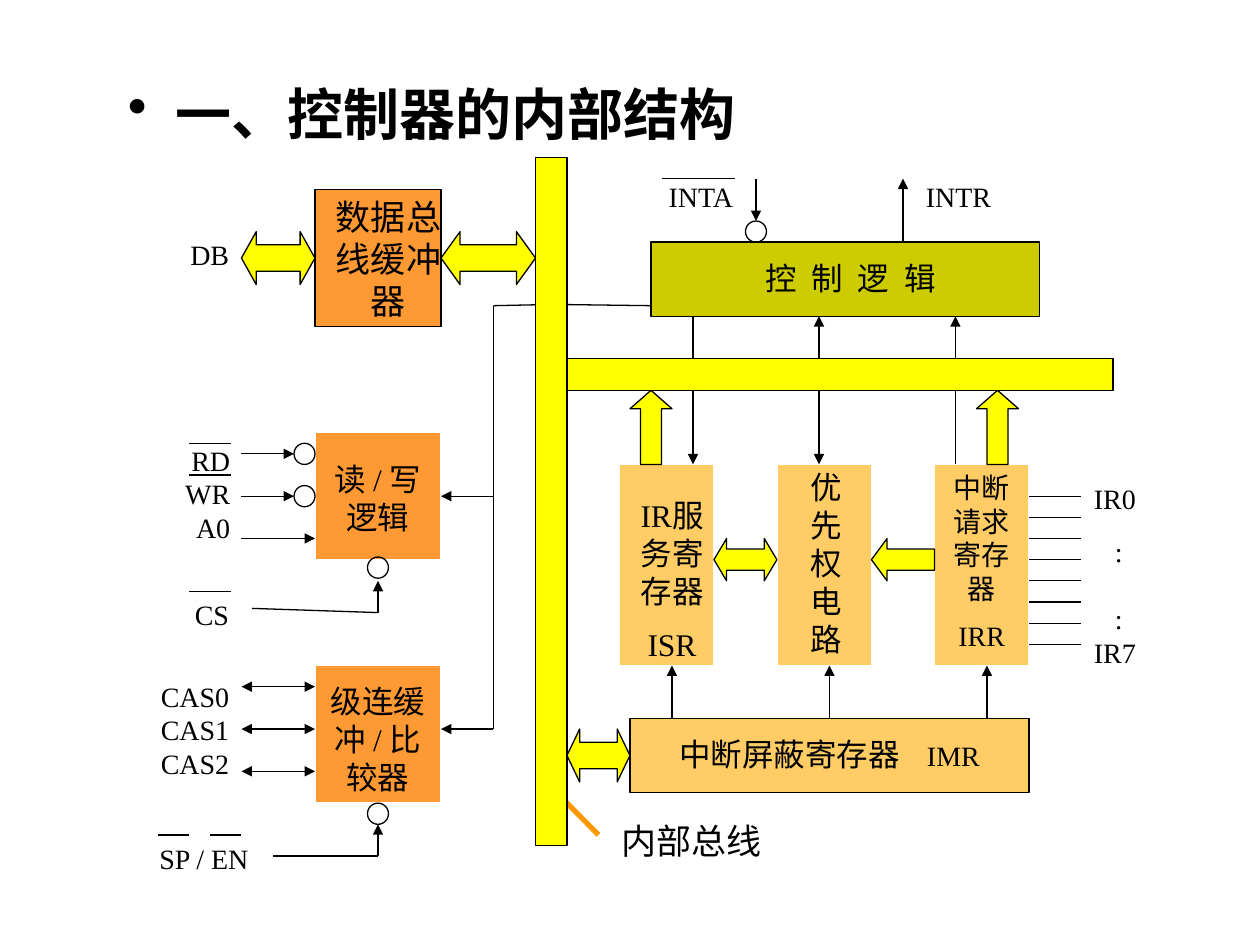
import pptx
import pptx.util
import pptx.dml.color
import pptx.enum.shapes
import pptx.enum.text
import pptx.oxml.ns
from lxml import etree

Geometry = pptx.enum.shapes.MSO_SHAPE
Align = pptx.enum.text.PP_ALIGN
LEFT, CENTER, RIGHT = Align.LEFT, Align.CENTER, Align.RIGHT

THEME = {
    "ink": "000000", "paper": "FFFFFF", "bus": "FFFF00", "register": "FFCC66",
    "buffer": "FF9933", "control": "CCCC00", "pointer": "FF9900",
    "latin": "Times New Roman", "cjk": "Noto Sans CJK SC",
    "heading": 32, "large": 20, "medium": 18, "small": 16,
    "hairline": 0.75, "thick": 3,
}
COLUMN, ROW, TOP = 1 / 12, 0.084, 1.25

TITLE = "一、控制器的内部结构"
TITLE_CELL = (11, -8, 102, 7.7)

BLOCKS = [
    ((62, 8, 37, 7), "control", "ink"),
    *[((column, 29, 9, 19), "register", "paper") for column in (59, 74, 89)],
    ((60, 53, 38, 7), "register", "ink"),
    ((30, 3, 12, 13), "buffer", "ink"),
    ((30, 26, 12, 12), "buffer", "paper"),
    ((30, 48, 12, 13), "buffer", "paper"),
]
BUSES = [(51, 19, 55, 3), (51, 0, 3, 65)]
FLOWS = [
    (Geometry.LEFT_RIGHT_ARROW, (68, 36, 6, 4), 0.3),
    (Geometry.LEFT_ARROW, (83, 36, 6, 4), 0.37),
    (Geometry.UP_ARROW, (60, 22, 4, 7), 0.44),
    (Geometry.UP_ARROW, (93, 22, 4, 7), 0.44),
    (Geometry.LEFT_RIGHT_ARROW, (54, 54, 6, 5), 0.24),
    (Geometry.LEFT_RIGHT_ARROW, (42, 7, 9, 5), 0.36),
    (Geometry.LEFT_RIGHT_ARROW, (23, 7, 7, 5), 0.28),
]
INVERTERS = [(71, 6), (28, 27), (28, 31), (35, 61), (35, 37.75)]

PLAIN_WIRES = [
    *[(98, row, 103, row) for row in range(32, 47, 2)],
    (91, 29, 91, 22), (66, 15, 66, 19),
    (62, 14, 54, 13.9), (52, 13.9, 47, 14), (47, 14, 47, 54),
    (36, 43, 24, 42.6), (36, 66, 26, 66),
]
OVERBARS = [
    (63, 2, 70, 2), (15, 64, 18, 64), (20, 64, 23, 64),
    *[(18, row, 22, row) for row in (27, 30, 41)],
]
SIGNALS = [
    (78, 19, 78, 15), (78, 22, 78, 29), (91, 19, 91, 15), (66, 22, 66, 29),
    (72, 2, 72, 6), (86, 8, 86, 2),
    *[(column, 53, column, 48) for column in (64, 79, 94)],
    (47, 54, 42, 54), (47, 32, 42, 32),
    (36, 43, 36, 40), (36, 66, 36, 63),
    (23, 28, 28, 28), (23, 32, 28, 32), (23, 36, 30, 36),
]
CASCADE_LINES = [(23, row, 30, row) for row in (50, 54, 58)]
BUS_POINTER = (57, 64, 53, 60)

BREAK = "\n"
LABELS = [
    ((103, 30, 8, 4.4), LEFT, "small", [["IR0"]]),
    ((103, 44.6, 8, 4.4), LEFT, "small", [["IR7"]]),
    ((105, 35, 3, 7.6), LEFT, "small", [[":", BREAK, ":"]]),
    ((89, 29, 9, 18.7), CENTER, "small", [["中断请求寄存器"], ["IRR"]]),
    ((76, 28.8, 5, 19), LEFT, "medium", [["优先权电路"]]),
    ((59, 31.4, 10, 17.3), CENTER, "medium", [["IR服务寄存器"], ["ISR"]]),
    ((60, 54, 38, 4.8), CENTER, "medium",
     [["中断屏蔽寄存器", (" ", "small", 12), ("IMR", "small", 0)]]),
    ((66, 9, 30, 4.8), CENTER, "medium", [[("控 制 逻 辑", "medium", 2.25)]]),
    ((30, 3, 14, 13.1), CENTER, "large", [["数据总线缓冲器"]]),
    ((30, 28, 12, 8.3), CENTER, "medium", [["读 / 写逻辑"]]),
    ((30, 49, 12, 12), CENTER, "medium", [["级连缓冲 / 比较器"]]),
    ((58, 1.5, 13, 4.4), RIGHT, "small", [["INTA"]]),
    ((87, 1.5, 12, 4.4), LEFT, "small", [["INTR"]]),
    ((14, 7, 9, 4.4), RIGHT, "small", [["DB"]]),
    ((15.1, 26.4, 8, 10.7), RIGHT, "small", [["RD", BREAK, "WR", BREAK, "A0"]]),
    ((11, 41, 12, 4.4), RIGHT, "small", [["CS"]]),
    ((13, 48.7, 10, 10.7), RIGHT, "small", [["CAS0", BREAK, "CAS1", BREAK, "CAS2"]]),
    ((14, 64, 12, 4.4), LEFT, "small", [["SP / EN"]]),
    ((58, 62, 31, 5.1), LEFT, "large", [["内部总线"]]),
]


def color(role):
    return pptx.dml.color.RGBColor.from_string(THEME[role])


def point(column, row):
    return pptx.util.Inches(column * COLUMN), pptx.util.Inches(TOP + row * ROW)


def area(cell):
    column, row, width, height = cell
    return (*point(column, row), pptx.util.Inches(width * COLUMN),
            pptx.util.Inches(height * ROW))


def sub(parent, tag, **attributes):
    return etree.SubElement(parent, pptx.oxml.ns.qn(tag), **attributes)


def draw_shape(slide, geometry, cell, fill=None, outline="ink"):
    shape = slide.shapes.add_shape(geometry, *area(cell))
    shape.shadow.inherit = False
    if fill:
        shape.fill.solid()
        shape.fill.fore_color.rgb = color(fill)
    else:
        shape.fill.background()
    shape.line.color.rgb = color(outline)
    shape.line.width = pptx.util.Pt(THEME["hairline"])
    return shape


def side_middles(cell):
    column, row, width, height = cell
    return [(column + width / 2, row), (column, row + height / 2),
            (column + width / 2, row + height), (column + width, row + height / 2)]


def draw_wire(slide, ends, blocks, heads=(), role="ink", weight="hairline"):
    start, finish = ends[:2], ends[2:]
    wire = slide.shapes.add_connector(
        pptx.enum.shapes.MSO_CONNECTOR.STRAIGHT, *point(*start), *point(*finish))
    for cell, block in blocks:
        for side, middle in enumerate(side_middles(cell)):
            if middle == start:
                wire.begin_connect(block, side)
            if middle == finish:
                wire.end_connect(block, side)
    wire.line.color.rgb = color(role)
    wire.line.width = pptx.util.Pt(THEME[weight])
    for head in heads:
        sub(wire.line._get_or_add_ln(), head, type="triangle")
    sub(wire._element.spPr, "a:effectLst")


def add_run(paragraph, text, size, latin="latin", tracking=0):
    run = paragraph.add_run()
    run.text = text
    run.font.size = pptx.util.Pt(THEME[size])
    run.font.color.rgb = color("ink")
    run.font.name = THEME[latin]
    properties = run._r.get_or_add_rPr()
    sub(properties, "a:ea", typeface=THEME["cjk"])
    if tracking:
        properties.set("spc", str(round(tracking * 100)))
    return run


def draw_label(slide, cell, alignment, size, paragraphs):
    frame = slide.shapes.add_textbox(*area(cell)).text_frame
    frame.word_wrap = True
    frame.auto_size = pptx.enum.text.MSO_AUTO_SIZE.SHAPE_TO_FIT_TEXT
    for index, parts in enumerate(paragraphs):
        paragraph = frame.add_paragraph() if index else frame.paragraphs[0]
        paragraph.alignment = alignment
        if index:
            paragraph.space_before = pptx.util.Pt(THEME[size] / 2)
        for part in parts:
            if part == BREAK:
                paragraph.add_line_break()
                sub(paragraph._p[-1], "a:rPr", sz=str(THEME[size] * 100))
            else:
                text, run_size, tracking = (part, size, 0) if isinstance(part, str) else part
                add_run(paragraph, text, run_size, tracking=tracking)


def draw_title(slide):
    frame = slide.shapes.add_textbox(*area(TITLE_CELL)).text_frame
    frame.word_wrap = True
    frame.vertical_anchor = pptx.enum.text.MSO_ANCHOR.MIDDLE
    paragraph = frame.paragraphs[0]
    properties = paragraph._p.get_or_add_pPr()
    indent = pptx.util.Inches(0.38)
    properties.set("marL", str(indent))
    properties.set("indent", str(-indent))
    sub(properties, "a:buChar", char="•")
    add_run(paragraph, TITLE, "heading", "cjk").font.bold = True


def main():
    deck = pptx.Presentation()
    deck.slide_width, deck.slide_height = pptx.util.Inches(10), pptx.util.Inches(7.5)
    slide = deck.slides.add_slide(deck.slide_layouts[6])
    draw_title(slide)
    blocks = [(cell, draw_shape(slide, Geometry.RECTANGLE, cell, fill, outline))
              for cell, fill, outline in BLOCKS]
    for geometry, cell, head in FLOWS:
        flow = draw_shape(slide, geometry, cell, "bus")
        flow.adjustments[0], flow.adjustments[1] = 0.5, head
    for column, row in INVERTERS:
        draw_shape(slide, Geometry.OVAL, (column, row, 2, 2))
    for wires, heads in [(PLAIN_WIRES + OVERBARS, ()), (SIGNALS, ("a:tailEnd",)),
                         (CASCADE_LINES, ("a:headEnd", "a:tailEnd"))]:
        for ends in wires:
            draw_wire(slide, ends, blocks, heads)
    for label in LABELS:
        draw_label(slide, *label)
    draw_wire(slide, BUS_POINTER, blocks, role="pointer", weight="thick")
    for cell in BUSES:
        draw_shape(slide, Geometry.RECTANGLE, cell, "bus")
    deck.save("out.pptx")


if __name__ == "__main__":
    main()
